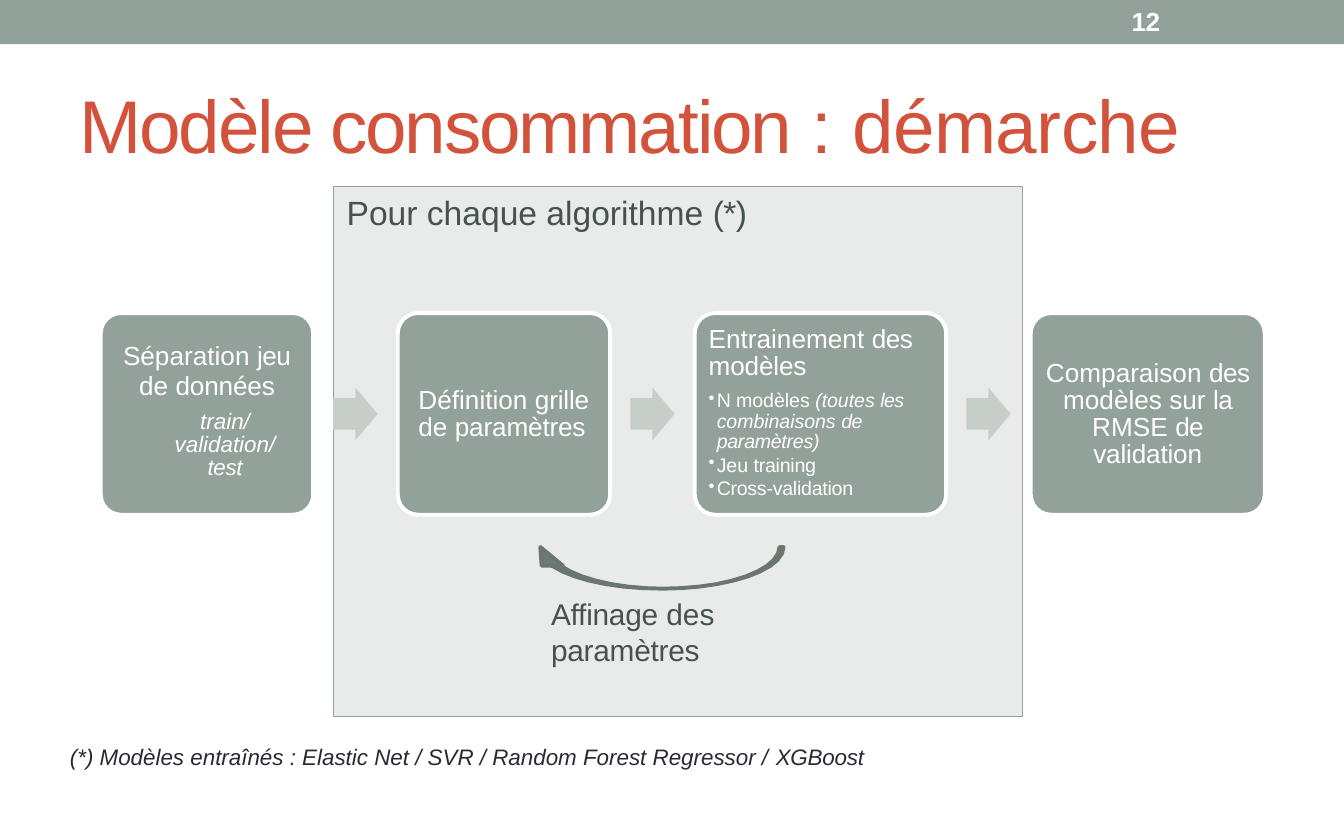
import math
from dataclasses import dataclass
from lxml import etree
from pptx import Presentation
from pptx import util as u
from pptx.dml.color import RGBColor
from pptx.enum import shapes, text
from pptx.oxml.ns import qn


@dataclass(frozen=True)
class Theme:
    """Colours, type sizes and line widths of the slide."""
    font: str = "Arial"
    sage: str = "92A199"
    panel: str = "E9EBEB"
    arrow: str = "C7CEC9"
    loop: str = "6B7C71"
    loop_line: str = "6B766E"
    white: str = "FFFFFF"
    red: str = "D2523B"
    label: str = "46524B"
    ink: str = "292934"
    title_size: float = 40
    panel_size: float = 18
    loop_size: float = 16
    box_size: float = 14
    note_size: float = 12
    bullet_size: float = 10.5
    thin: float = 0.75
    thick: float = 2.08


T = Theme()
SHAPE = shapes.MSO_SHAPE

# A paragraph is (runs, format); a run is (text, letter spacing[, italic]).
BULLET = dict(size=T.bullet_size, bullet=True)
STEPS = [
    dict(width=1.58, margins=(0.11, 0.17, 0.11), align="ctr", paras=[
        ([("Séparation ", 0), ("jeu", -0.3)], dict(line=u.Pt(15.7), before=1.1)),
        ([("de ", 0), ("données", -0.1)], dict(line=u.Pt(15.7))),
        ([("train/ validation/ ", 0, True), ("test", -0.2, True)],
         dict(size=T.note_size, line=0.86, before=5.6, indent=0.27))]),
    dict(width=1.58, margins=(0.11, 0.51, 0.09), align="l", paras=[
        ([("Définition ", 0), ("grille ", -0.1), ("de ", 0), ("paramètres", -0.1)],
         dict(line=u.Pt(14.5), before=3.4))]),
    dict(width=1.87, margins=(0.06, 0.06, 0.19), align="l", paras=[
        ([("Entrainement ", 0), ("des ", -0.3), ("modèles", -0.1)],
         dict(line=u.Pt(14.5), before=3.4)),
        ([("N modèles ", 0), ("(toutes ", 0, True), ("les ", -0.3, True),
          ("combinaisons ", 0, True), ("de ", -0.3, True), ("paramètres)", -0.1, True)],
         dict(BULLET, line=0.86, before=5.7)),
        ([("Jeu ", 0), ("training", -0.1)], BULLET),
        ([("Cross-validation", -0.1)], dict(BULLET, before=0.1))]),
    dict(width=1.74, margins=(0.05, 0.31, 0.05), align="ctr", paras=[
        ([("Comparaison ", 0), ("des ", -0.3), ("modèles sur ", 0), ("la ", -0.3),
          ("RMSE ", 0), ("de ", -0.3), ("validation", -0.1)],
         dict(line=0.86, before=3.3))]),
]
LABELS = [
    ((0.59, 0.58, 8.46, 1.06),
     [("Modèle consommation ", -1.1), (": ", 0), ("démarche", -0.3)],
     dict(size=T.title_size, color=T.red)),
    ((8.42, 0.03, 0.24, 0.25), [("12", -0.3)],
     dict(size=T.box_size, color=T.white, bold=True)),
    ((2.58, 1.42, 3, 0.31), [("Pour chaque algorithme ", 0), ("(*)", -0.3)],
     dict(size=T.panel_size, color=T.label)),
    ((4.1, 4.42, 1.55, 0.55),
     [("Affinage ", -0.1), ("des ", 0), ("paramètres", -0.1)],
     dict(size=T.loop_size, color=T.label)),
    ((0.52, 5.52, 7.95, 0.21),
     [("(*) Modèles entraînés : Elastic Net / SVR / Random Forest Regressor / ", 0, True),
      ("XGBoost", -0.1, True)],
     dict(size=T.note_size, color=T.ink)),
]
STEP_LEFT, STEP_TOP, STEP_HEIGHT, GAP = 0.75, 2.33, 1.5, 0.15
ARROW_WIDTH, ARROW_HEIGHT = 0.33, 0.39


def style(sp, fill, line=None, width=T.thin):
    """Set fill and line and remove the shadow."""
    sp.shadow.inherit = False
    sp.fill.solid()
    sp.fill.fore_color.rgb = RGBColor.from_string(fill)
    if line:
        sp.line.color.rgb = RGBColor.from_string(line)
        sp.line.width = u.Pt(width)
    else:
        sp.line.fill.background()
    return sp


def add_shape(s, kind, at, fill, **line):
    """Add a styled preset shape."""
    return style(s.shapes.add_shape(kind, *map(u.Inches, at)), fill, **line)


def write(p, runs, size=T.box_size, color=T.white, bold=False, align="l",
          line=None, before=0, indent=0, bullet=False):
    """Write formatted runs into a paragraph."""
    p.alignment = text.PP_ALIGN.from_xml(align)
    p.line_spacing = line
    p.space_before = u.Pt(before)
    pPr = p._p.get_or_add_pPr()
    if bullet:
        pPr.set("marL", str(u.Inches(0.06)))
        pPr.set("indent", str(-u.Inches(0.06)))
        etree.SubElement(pPr, qn("a:buSzPct")).set("val", "90000")
        etree.SubElement(pPr, qn("a:buChar")).set("char", "•")
    elif indent:
        pPr.set("marL", str(u.Inches(indent)))
    for words, spacing, *italic in runs:
        r = p.add_run()
        r.text = words
        f = r.font
        f.name, f.size, f.bold, f.italic = T.font, u.Pt(size), bold, bool(italic)
        f.color.rgb = RGBColor.from_string(color)
        if spacing:
            r._r.get_or_add_rPr().set("spc", str(round(spacing * 100)))


def fill_frame(tf, paras, margins, **common):
    """Set up a text frame from the top and write its paragraphs."""
    tf.word_wrap = True
    tf.vertical_anchor = text.MSO_ANCHOR.TOP
    tf.margin_left, tf.margin_top, tf.margin_right = map(u.Inches, margins)
    tf.margin_bottom = 0
    for i, (runs, fmt) in enumerate(paras):
        p = tf.add_paragraph() if i else tf.paragraphs[0]
        write(p, runs, **{**common, **fmt})


def add_steps(s):
    """Lay the steps out from left to right with an arrow between neighbours."""
    left = STEP_LEFT
    middle = STEP_TOP + STEP_HEIGHT / 2
    for i, step in enumerate(STEPS):
        if i:
            arrow = add_shape(s, SHAPE.RIGHT_ARROW,
                              (left, middle - ARROW_HEIGHT / 2, ARROW_WIDTH, ARROW_HEIGHT),
                              T.arrow)
            arrow.adjustments[0] = 0.6
            left += ARROW_WIDTH + GAP
        box = add_shape(s, SHAPE.ROUNDED_RECTANGLE,
                        (left, STEP_TOP, step["width"], STEP_HEIGHT),
                        T.sage, line=T.white, width=T.thick)
        box.adjustments[0] = 0.1
        fill_frame(box.text_frame, step["paras"], step["margins"], align=step["align"])
        left += step["width"] + GAP


def add_loop(s):
    """Draw the curved arrow leading back to the parameter grid."""
    def arc(cx, rx):
        return [(cx + rx * math.cos(math.radians(a)), 4.07 + 0.31 * math.sin(math.radians(a)))
                for a in range(0, 154, 9)]
    head = [(4.1, 4.21), (4.03, 4.21), (4.02, 4.07), (4.19, 4.21), (4.13, 4.21)]
    points = arc(4.92, 0.91) + head + arc(4.94, 0.86)[::-1]
    points = [(u.Inches(x), u.Inches(y)) for x, y in points]
    fb = s.shapes.build_freeform(*points[0])
    fb.add_line_segments(points[1:], close=True)
    style(fb.convert_to_shape(), T.loop, line=T.loop_line, width=T.thick)


def main():
    """Build and save the slide."""
    prs = Presentation()
    prs.slide_width, prs.slide_height = u.Inches(10), u.Inches(6.25)
    s = prs.slides.add_slide(prs.slide_layouts[6])
    add_shape(s, SHAPE.RECTANGLE, (0, 0, 10, 0.33), T.sage)
    add_shape(s, SHAPE.RECTANGLE, (2.48, 1.39, 5.13, 3.94), T.panel, line=T.sage)
    add_steps(s)
    add_loop(s)
    for at, runs, fmt in LABELS:
        tb = s.shapes.add_textbox(*map(u.Inches, at))
        fill_frame(tb.text_frame, [(runs, fmt)], (0, 0.01, 0), before=1)
    prs.save("out.pptx")


main()
